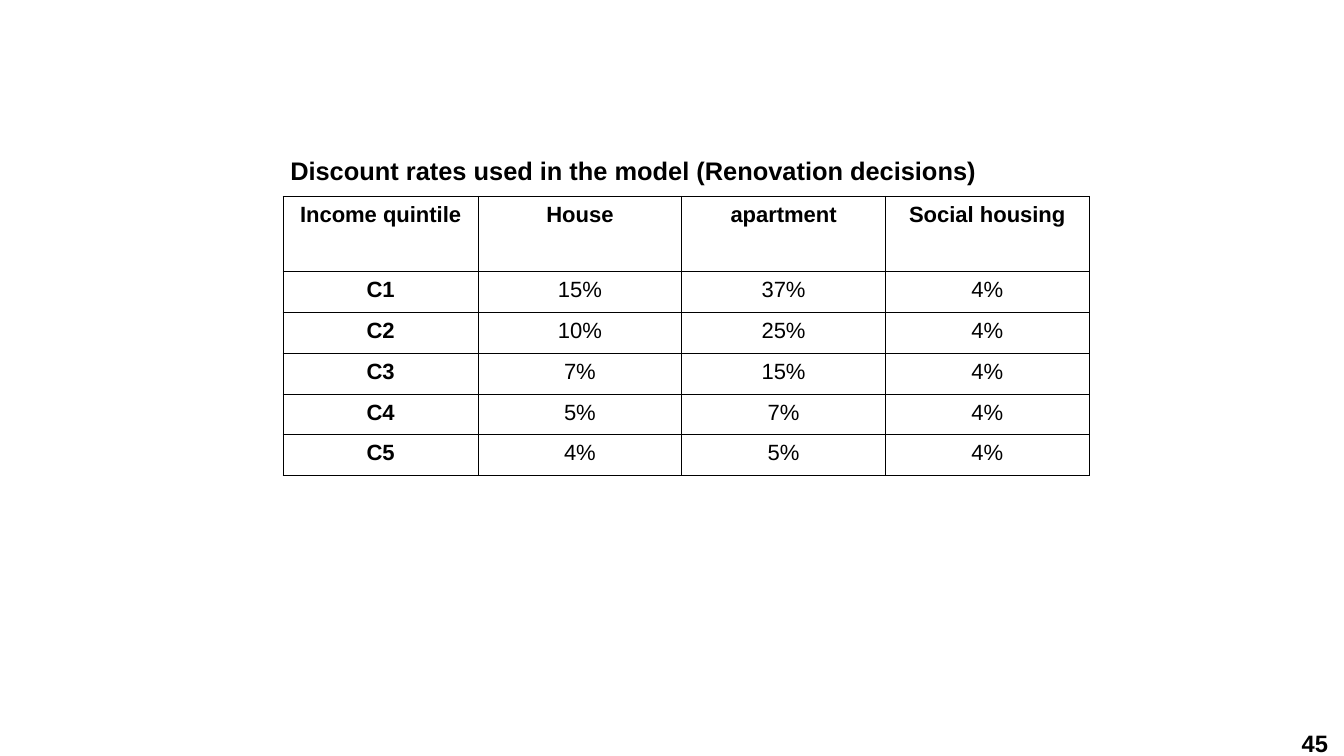
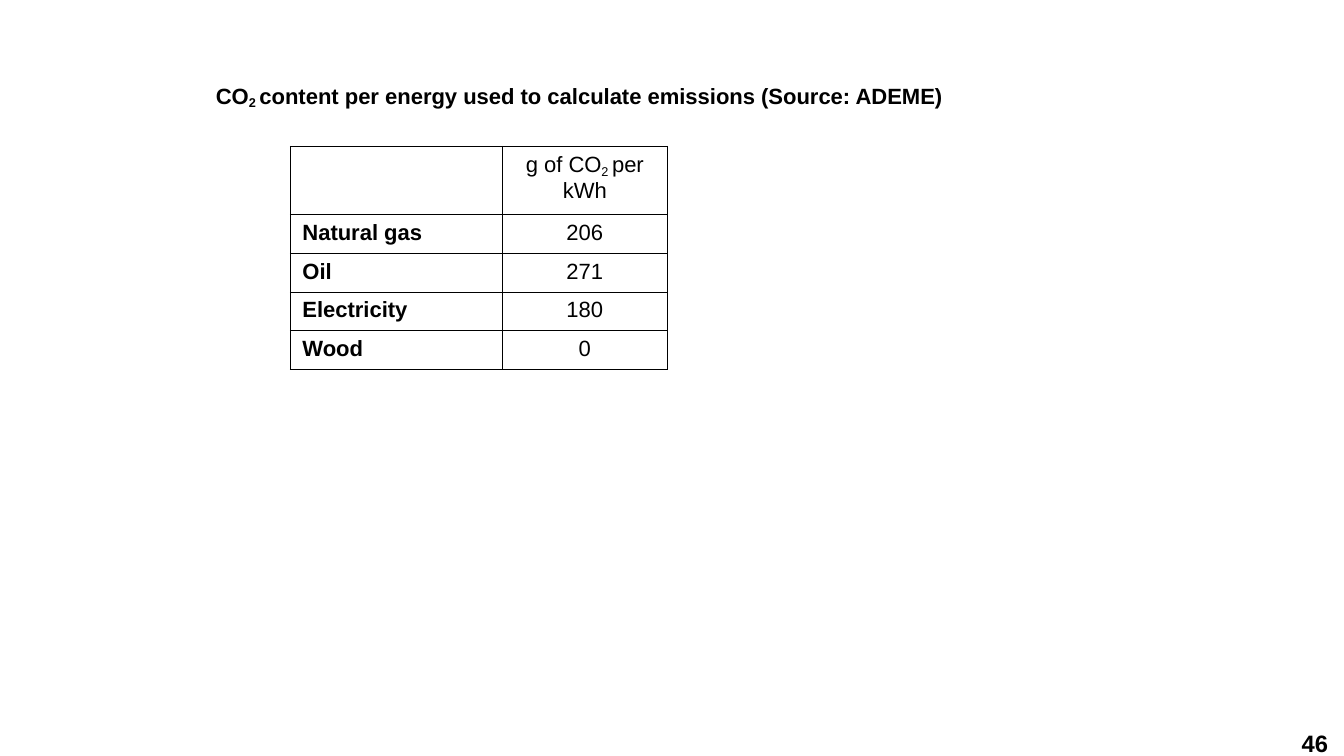
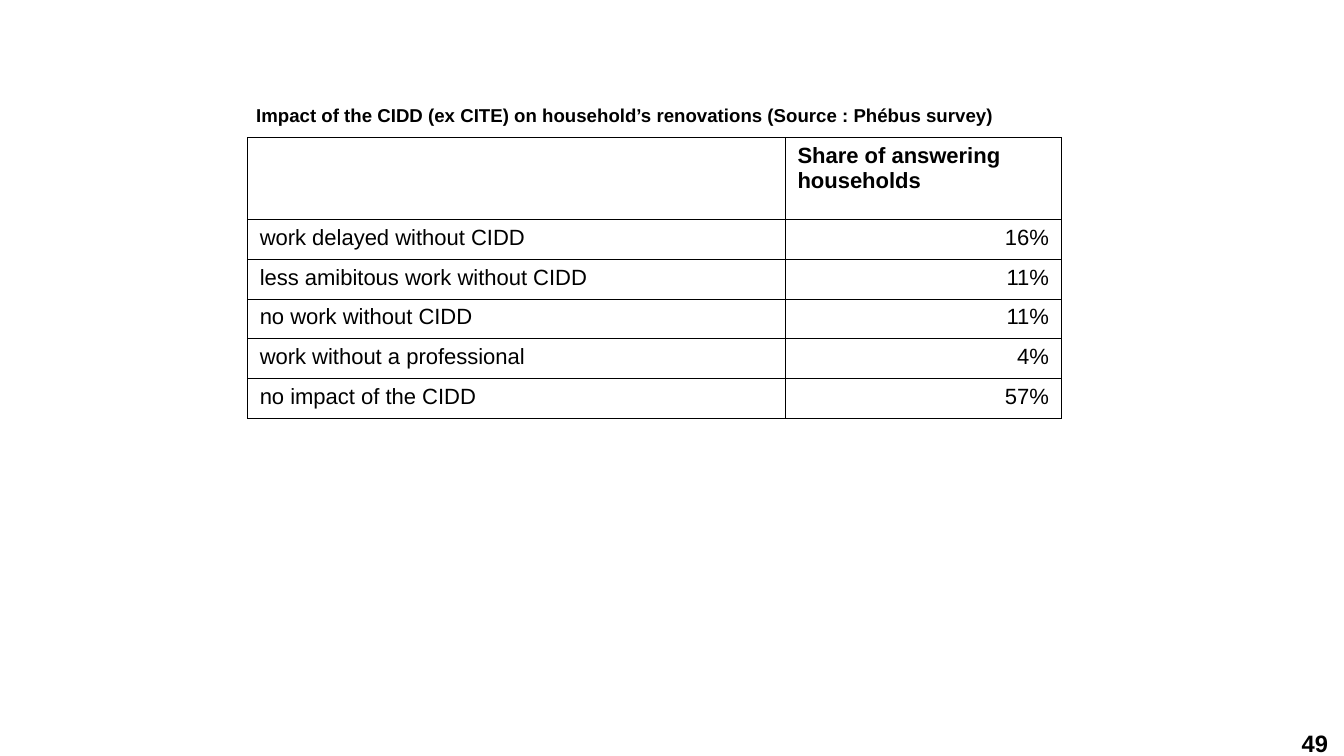
from dataclasses import dataclass

from lxml.etree import SubElement
from pptx import Presentation
from pptx.dml.color import RGBColor
from pptx.enum.text import MSO_ANCHOR, MSO_AUTO_SIZE, PP_ALIGN
from pptx.oxml.ns import qn
from pptx.util import Inches, Pt

FONT = "Arial"
BLACK = "000000"
BORDER_PT = 0.57
TABLE_PT = 13
PAGE_PT = 14
TITLE_ONLY = 5
LEFT, CENTER, RIGHT = PP_ALIGN.LEFT, PP_ALIGN.CENTER, PP_ALIGN.RIGHT


@dataclass
class Title:
    """Text between underscores is lowered as a subscript."""
    text: str
    box: tuple[float, float, float, float]
    size: float
    align: PP_ALIGN = PP_ALIGN.JUSTIFY
    spacing: float = 1.6
    subscript: int = -10


@dataclass
class Grid:
    left: float
    top: float
    height: float
    header_height: float
    columns: list[float]
    aligns: list[PP_ALIGN]
    rows: list[list[str]]
    bold_header: bool = True
    bold_labels: bool = True


@dataclass
class Page:
    number: int
    title: Title
    grid: Grid


PAGES = [
    Page(
        45,
        Title("Discount rates used in the model (Renovation decisions)",
              (2.28, 1.22, 6.63, 0.66), 15, LEFT, 0),
        Grid(2.32, 1.61, 2.29, 0.62, [1.6, 1.67, 1.67, 1.67], [CENTER] * 4, [
            ["Income quintile", "House", "apartment", "Social housing"],
            ["C1", "15%", "37%", "4%"],
            ["C2", "10%", "25%", "4%"],
            ["C3", "7%", "15%", "4%"],
            ["C4", "5%", "7%", "4%"],
            ["C5", "4%", "5%", "4%"],
        ]),
    ),
    Page(
        46,
        Title("CO_2 _content per energy used to calculate emissions (Source: ADEME)",
              (1.67, 0.63, 8.46, 0.31), 13),
        Grid(2.38, 1.2, 1.82, 0.56, [1.74, 1.35], [LEFT, CENTER], [
            ["", "g of CO_2 _per kWh"],
            ["Natural gas", "206"],
            ["Oil", "271"],
            ["Electricity", "180"],
            ["Wood", "0"],
        ], bold_header=False),
    ),
    Page(
        49,
        Title("Impact of the CIDD (ex CITE) on household’s renovations (Source : Phébus survey)",
              (2, 0.8, 6.52, 0.46), 11),
        Grid(2.03, 1.13, 2.3, 0.67, [4.41, 2.26], [LEFT, RIGHT], [
            ["", "Share of answering\nhouseholds"],
            ["work delayed without CIDD", "16%"],
            ["less amibitous work without CIDD", "11%"],
            ["no work without CIDD", "11%"],
            ["work without a professional", "4%"],
            ["no impact of the CIDD", "57%"],
        ], bold_labels=False),
    ),
]


def rgb(color: str) -> RGBColor:
    return RGBColor.from_string(color)


def write(tf, text: str, size: float, bold: bool, align: PP_ALIGN, subscript: int = -18) -> None:
    """Write one paragraph per line, lowering the parts between underscores."""
    for i, line in enumerate(text.split("\n")):
        p = tf.paragraphs[0] if i == 0 else tf.add_paragraph()
        p.alignment = align
        p.font.name, p.font.size, p.font.bold = FONT, Pt(size), bold
        p.font.color.rgb = rgb(BLACK)
        for j, part in enumerate(line.split("_")):
            if not part:
                continue
            r = p.add_run()
            r.text = part
            if j % 2:
                r._r.get_or_add_rPr().set("baseline", str(subscript * 1000))


def add_title(slide, title: Title) -> None:
    sp = slide.shapes.title
    sp.left, sp.top, sp.width, sp.height = map(Inches, title.box)
    tf = sp.text_frame
    tf.word_wrap = True
    tf.auto_size = MSO_AUTO_SIZE.NONE
    tf.vertical_anchor = MSO_ANCHOR.TOP
    write(tf, title.text, title.size, True, title.align, title.subscript)
    p = tf.paragraphs[0]
    p.space_before = p.space_after = Pt(title.spacing)


def add_page_number(slide, number: int) -> None:
    sp = slide.shapes.add_textbox(Inches(9.89), Inches(5.98), Inches(1), Inches(0.22))
    tf = sp.text_frame
    tf.word_wrap = True
    tf.margin_left = tf.margin_top = tf.margin_right = tf.margin_bottom = 0
    write(tf, str(number), PAGE_PT, True, RIGHT)


def set_borders(cell) -> None:
    tc_pr = cell._tc.get_or_add_tcPr()
    for side in ("a:lnL", "a:lnR", "a:lnT", "a:lnB"):
        ln = SubElement(tc_pr, qn(side), w=str(int(Pt(BORDER_PT))))
        fill = SubElement(ln, qn("a:solidFill"))
        SubElement(fill, qn("a:srgbClr"), val=BLACK)


def add_grid(slide, grid: Grid) -> None:
    frame = slide.shapes.add_table(
        len(grid.rows), len(grid.columns), Inches(grid.left), Inches(grid.top),
        Inches(sum(grid.columns)), Inches(grid.height))
    table = frame.table
    table.first_row = table.horz_banding = False
    for column, width in zip(table.columns, grid.columns):
        column.width = Inches(width)
    body_height = (grid.height - grid.header_height) / (len(grid.rows) - 1)
    for i, texts in enumerate(grid.rows):
        table.rows[i].height = Inches(body_height if i else grid.header_height)
        for j, text in enumerate(texts):
            cell = table.cell(i, j)
            set_borders(cell)
            cell.fill.background()
            header_align = LEFT if "\n" in text else grid.aligns[j]
            bold = grid.bold_header if i == 0 else grid.bold_labels and j == 0
            write(cell.text_frame, text, TABLE_PT, bold, header_align)


def main() -> None:
    prs = Presentation()
    prs.slide_width, prs.slide_height = Inches(11.02), Inches(6.2)
    for page in PAGES:
        slide = prs.slides.add_slide(prs.slide_layouts[TITLE_ONLY])
        add_page_number(slide, page.number)
        add_grid(slide, page.grid)
        add_title(slide, page.title)
    prs.save("out.pptx")


if __name__ == "__main__":
    main()
